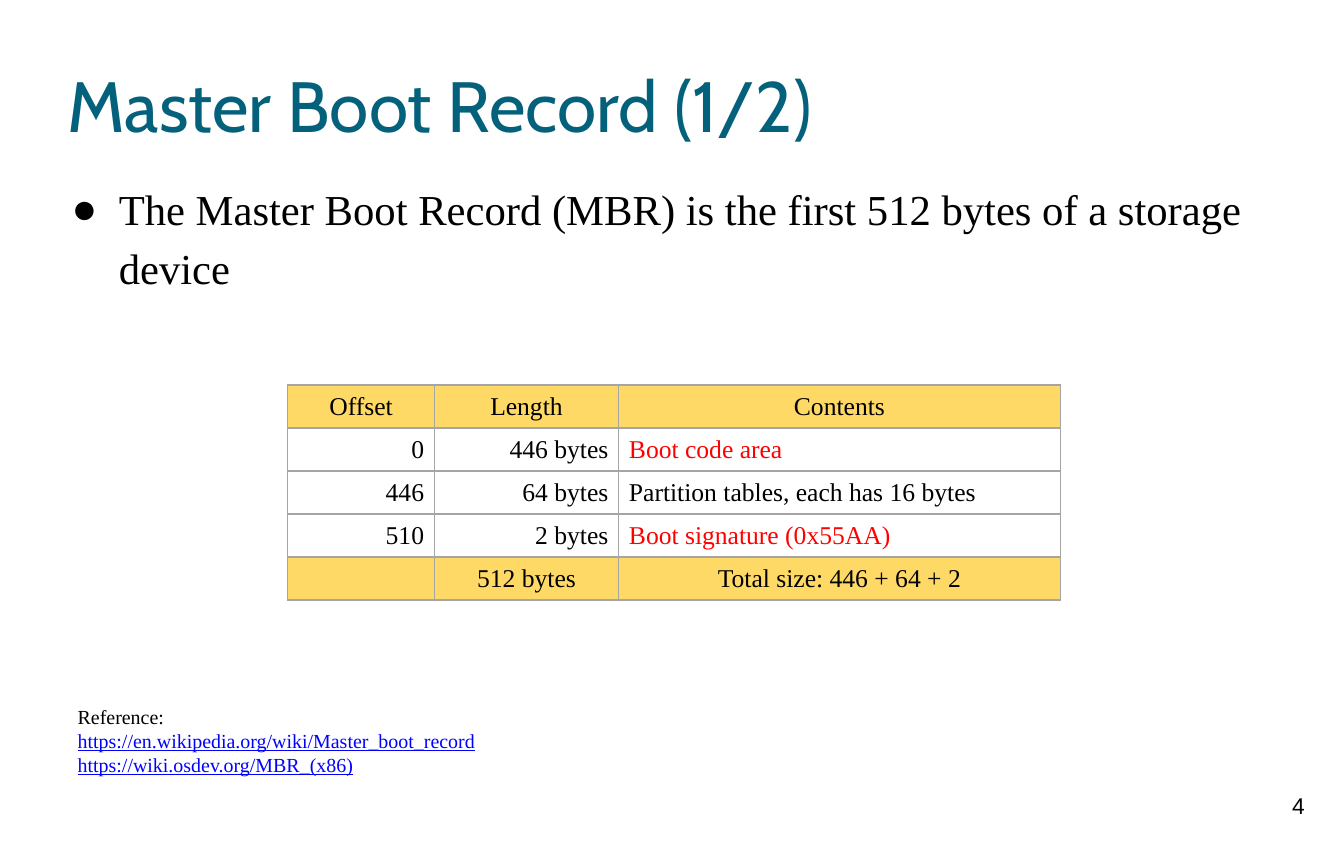
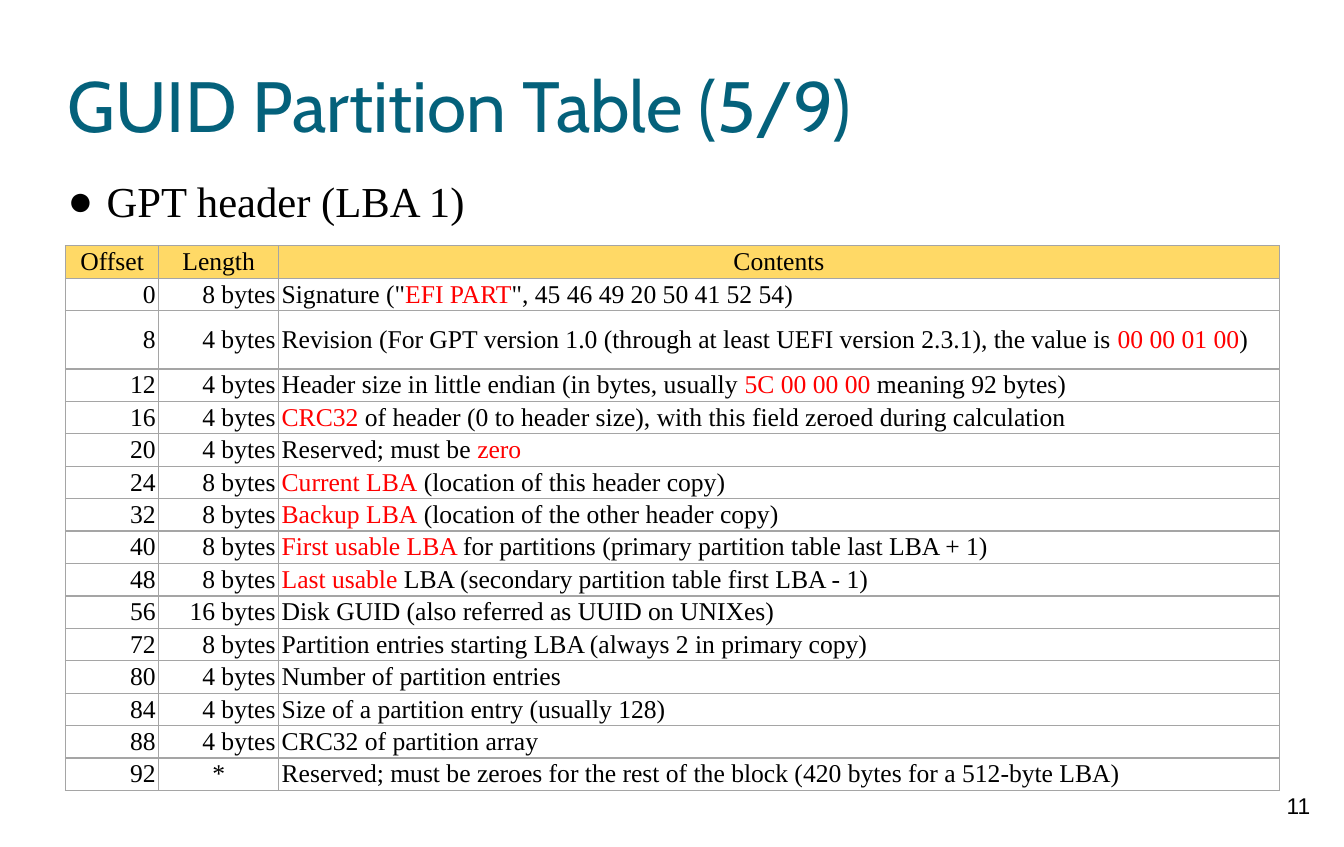
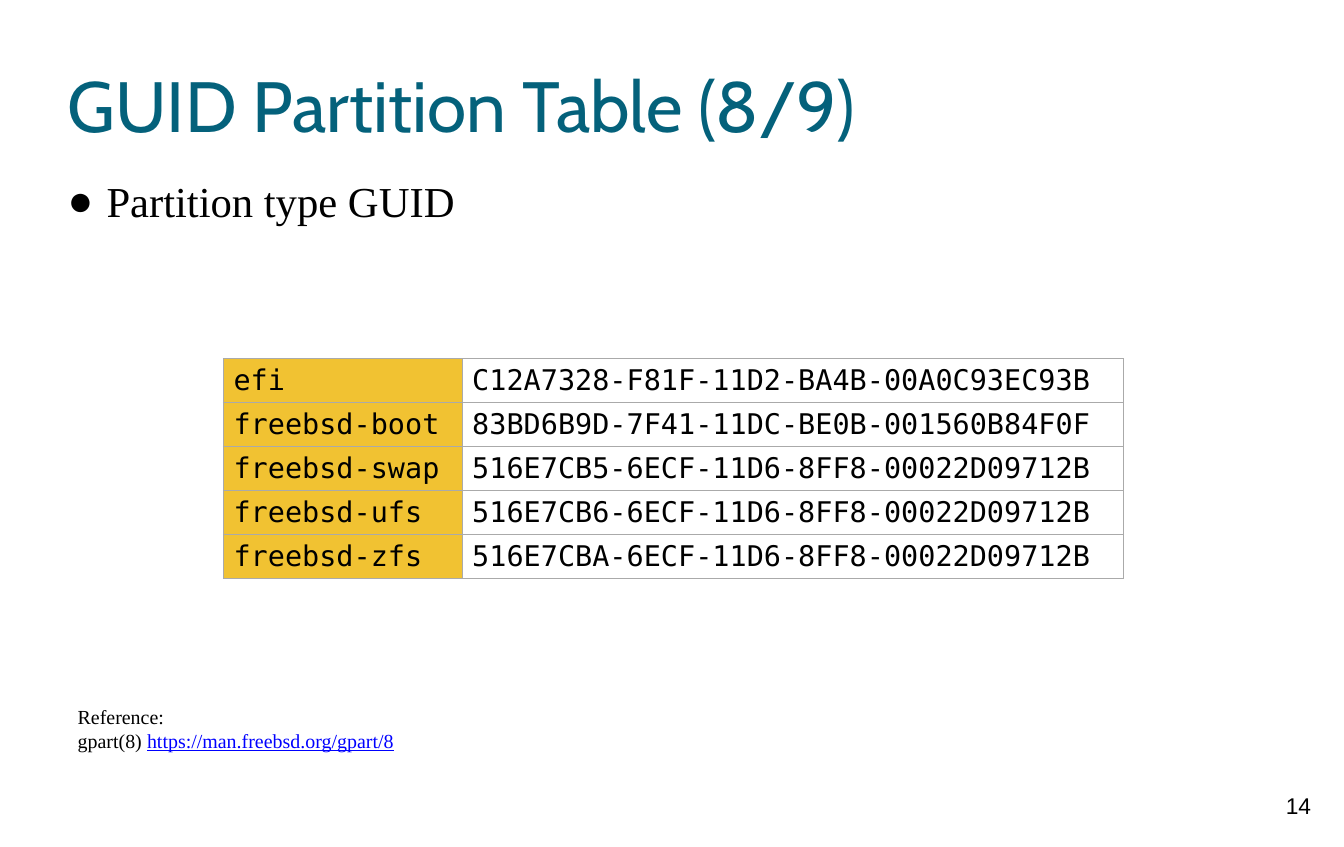
from pptx import Presentation
from pptx.dml.color import RGBColor
from pptx.enum.text import MSO_ANCHOR, MSO_AUTO_SIZE, PP_ALIGN
from pptx.oxml.ns import qn
from pptx.util import Inches, Pt
from lxml.etree import SubElement

# Shared colours and fonts
BLACK = RGBColor(0x00, 0x00, 0x00)
WHITE = RGBColor(0xFF, 0xFF, 0xFF)
RED = RGBColor(0xFF, 0x00, 0x00)
LINK_BLUE = RGBColor(0x00, 0x00, 0xFF)
TITLE_TEAL = RGBColor(0x04, 0x61, 0x7B)
HEADER_YELLOW = RGBColor(0xFF, 0xD9, 0x66)
NAME_GOLD = RGBColor(0xF1, 0xC2, 0x32)
GRID_GREY = RGBColor(0xA5, 0xA5, 0xA5)
LIGHT_GREY = RGBColor(0xAA, 0xAA, 0xAA)

TITLE_FONT = "Cabin"
TEXT_FONT = "Times New Roman"
NUMBER_FONT = "Arial"
CODE_FONT = "DejaVu Sans Mono"

LEFT, CENTER, RIGHT = PP_ALIGN.LEFT, PP_ALIGN.CENTER, PP_ALIGN.RIGHT


def write(paragraph, text, font=TEXT_FONT, size=18, color=BLACK, align=LEFT,
          accent=RED, underline=False):
    """Fill a paragraph; the parts between | marks take the accent colour."""
    paragraph.alignment = align
    paragraph.space_before = Pt(0)
    for index, part in enumerate(text.split("|")):
        if not part:
            continue
        marked = index % 2 == 1
        span = paragraph.add_run()
        span.text = part
        span.font.name = font
        span.font.size = Pt(size)
        span.font.color.rgb = accent if marked else color
        if marked and underline:
            span.font.underline = True


def set_margins(frame, horizontal, vertical):
    frame.margin_left = frame.margin_right = Inches(horizontal)
    frame.margin_top = frame.margin_bottom = Inches(vertical)


def set_borders(cell, color, width):
    properties = cell._tc.get_or_add_tcPr()
    for side in ("a:lnL", "a:lnR", "a:lnT", "a:lnB"):
        line = SubElement(properties, qn(side), w=str(Pt(width)))
        fill = SubElement(line, qn("a:solidFill"))
        SubElement(fill, qn("a:srgbClr"), val=str(color))


def add_bullet(paragraph, indent, hanging):
    properties = paragraph._p.get_or_add_pPr()
    properties.set("marL", str(Inches(indent)))
    properties.set("indent", str(-Inches(hanging)))
    color = SubElement(properties, qn("a:buClr"))
    SubElement(color, qn("a:srgbClr"), val=str(BLACK))
    SubElement(properties, qn("a:buChar"), char="●")


class Lecture:
    """The deck, its style and the page being filled."""

    def __init__(self):
        self.deck = Presentation()
        self.deck.slide_width = Inches(13.12)
        self.deck.slide_height = Inches(8.27)
        self.page = None

    def place(self, box, left, top, width, height):
        box.left, box.top = Inches(left), Inches(top)
        box.width, box.height = Inches(width), Inches(height)
        frame = box.text_frame
        frame.word_wrap = True
        frame.auto_size = MSO_AUTO_SIZE.NONE
        set_margins(frame, 0, 0)
        return frame

    def add_page(self, title, bullet, number, indent=0.38, hanging=0.38,
                 spacing=1.0):
        self.page = self.deck.slides.add_slide(self.deck.slide_layouts[1])
        # Title
        frame = self.place(self.page.shapes.title, 0.66, 0.33, 11.81, 1.38)
        frame.vertical_anchor = MSO_ANCHOR.MIDDLE
        write(frame.paragraphs[0], title, font=TITLE_FONT, size=50,
              color=TITLE_TEAL)
        # Body
        frame = self.place(self.page.placeholders[1], 0.66, 1.71, 11.84, 6.19)
        paragraph = frame.paragraphs[0]
        add_bullet(paragraph, indent, hanging)
        paragraph.line_spacing = spacing
        write(paragraph, bullet, size=30)
        # Page number
        box = self.page.shapes.add_textbox(0, 0, 0, 0)
        frame = self.place(box, 12.28, 7.63, 0.79, 0.63)
        set_margins(frame, 0.1, 0.1)
        write(frame.paragraphs[0], str(number), font=NUMBER_FONT, size=16,
              align=CENTER)

    def add_table(self, left, top, widths, heights, rows, look, margins=(0.1, 0.05),
                  border=(GRID_GREY, 1), font=TEXT_FONT, size=18):
        """look(row, column) gives the fill and the alignment of a cell."""
        table = self.page.shapes.add_table(
            len(rows), len(widths), Inches(left), Inches(top),
            Inches(sum(widths)), Inches(sum(heights))).table
        table.first_row = table.horz_banding = False
        for column, width in zip(table.columns, widths):
            column.width = Inches(width)
        for row, height in zip(table.rows, heights):
            row.height = Inches(height)
        for row, texts in enumerate(rows):
            for column, text in enumerate(texts):
                cell = table.cell(row, column)
                fill, align = look(row, column)
                set_borders(cell, *border)
                cell.fill.solid()
                cell.fill.fore_color.rgb = fill
                set_margins(cell, *margins)
                cell.vertical_anchor = MSO_ANCHOR.MIDDLE
                write(cell.text_frame.paragraphs[0], text, font=font,
                      size=size, align=align)

    def add_references(self, width, height, lines):
        box = self.page.shapes.add_textbox(
            Inches(0.66), Inches(6.83), Inches(width), Inches(height))
        frame = box.text_frame
        frame.word_wrap = False
        frame.auto_size = MSO_AUTO_SIZE.SHAPE_TO_FIT_TEXT
        for index, line in enumerate(["Reference:"] + lines):
            paragraph = frame.add_paragraph() if index else frame.paragraphs[0]
            write(paragraph, line, size=14, accent=LINK_BLUE, underline=True)


HEADINGS = ("Offset", "Length", "Contents")

RECORD_ROWS = [
    HEADINGS,
    ("0", "446 bytes", "|Boot code area|"),
    ("446", "64 bytes", "Partition tables, each has 16 bytes"),
    ("510", "2 bytes", "|Boot signature (0x55AA)|"),
    ("", "512 bytes", "Total size: 446 + 64 + 2"),
]

HEADER_ROWS = [
    HEADINGS,
    ("0", "8 bytes", 'Signature ("|EFI PART|", 45 46 49 20 50 41 52 54)'),
    ("8", "4 bytes", "Revision (For GPT version 1.0 (through at least UEFI "
     "version 2.3.1), the value is |00 00 01 00|)"),
    ("12", "4 bytes", "Header size in little endian (in bytes, usually "
     "|5C 00 00 00| meaning 92 bytes)"),
    ("16", "4 bytes", "|CRC32| of header (0 to header size), with this field "
     "zeroed during calculation"),
    ("20", "4 bytes", "Reserved; must be |zero|"),
    ("24", "8 bytes", "|Current LBA| (location of this header copy)"),
    ("32", "8 bytes", "|Backup LBA| (location of the other header copy)"),
    ("40", "8 bytes", "|First usable LBA |for partitions (primary partition "
     "table last LBA + 1)"),
    ("48", "8 bytes", "|Last usable |LBA (secondary partition table first "
     "LBA - 1)"),
    ("56", "16 bytes", "Disk GUID (also referred as UUID on UNIXes)"),
    ("72", "8 bytes", "Partition entries starting LBA (always 2 in primary "
     "copy)"),
    ("80", "4 bytes", "Number of partition entries"),
    ("84", "4 bytes", "Size of a partition entry (usually 128)"),
    ("88", "4 bytes", "CRC32 of partition array"),
    ("92", "*", "Reserved; must be zeroes for the rest of the block (420 "
     "bytes for a 512-byte LBA)"),
]

TYPE_ROWS = [
    ("efi", "C12A7328-F81F-11D2-BA4B-00A0C93EC93B"),
    ("freebsd-boot", "83BD6B9D-7F41-11DC-BE0B-001560B84F0F"),
    ("freebsd-swap", "516E7CB5-6ECF-11D6-8FF8-00022D09712B"),
    ("freebsd-ufs", "516E7CB6-6ECF-11D6-8FF8-00022D09712B"),
    ("freebsd-zfs", "516E7CBA-6ECF-11D6-8FF8-00022D09712B"),
]


def field_look(row, column):
    if row == 0:
        return HEADER_YELLOW, CENTER
    return WHITE, LEFT if column == 2 else RIGHT


def record_look(row, column):
    # The total row looks like the heading row
    return field_look(row % (len(RECORD_ROWS) - 1), column)


def header_look(row, column):
    fill, align = field_look(row, column)
    return fill, CENTER if HEADER_ROWS[row][column] == "*" else align


def type_look(row, column):
    return (WHITE if column else NAME_GOLD), LEFT


def main():
    lecture = Lecture()

    # Master Boot Record
    lecture.add_page(
        "Master Boot Record (1/2)",
        "The Master Boot Record (MBR) is the first 512 bytes of a storage device",
        4, indent=0.5, hanging=0.46, spacing=1.15)
    lecture.add_table(2.81, 3.76, [1.43, 1.8, 4.31], [0.42] * 5, RECORD_ROWS,
                      record_look)
    lecture.add_references(4.12, 0.81, [
        "|https://en.wikipedia.org/wiki/Master_boot_record|",
        "|https://wiki.osdev.org/MBR_(x86)|"])

    # GPT header
    lecture.add_page("GUID Partition Table (5/9)", "GPT header (LBA 1)", 11)
    lecture.add_table(0.64, 2.4, [0.91, 1.17, 9.77],
                      [0.3] * 2 + [0.57] + [0.3] * 13, HEADER_ROWS,
                      header_look, margins=(0.03, 0.02))

    # Partition types
    lecture.add_page("GUID Partition Table (8/9)", "Partition type GUID", 14)
    lecture.add_table(2.18, 3.5, [2.33, 6.46], [0.43] * 5, TYPE_ROWS, type_look,
                      border=(LIGHT_GREY, 0.75), font=CODE_FONT, size=20)
    lecture.add_references(3.31, 0.57, [
        "gpart(8) |https://man.freebsd.org/gpart/8|"])

    lecture.deck.save("out.pptx")


if __name__ == "__main__":
    main()
